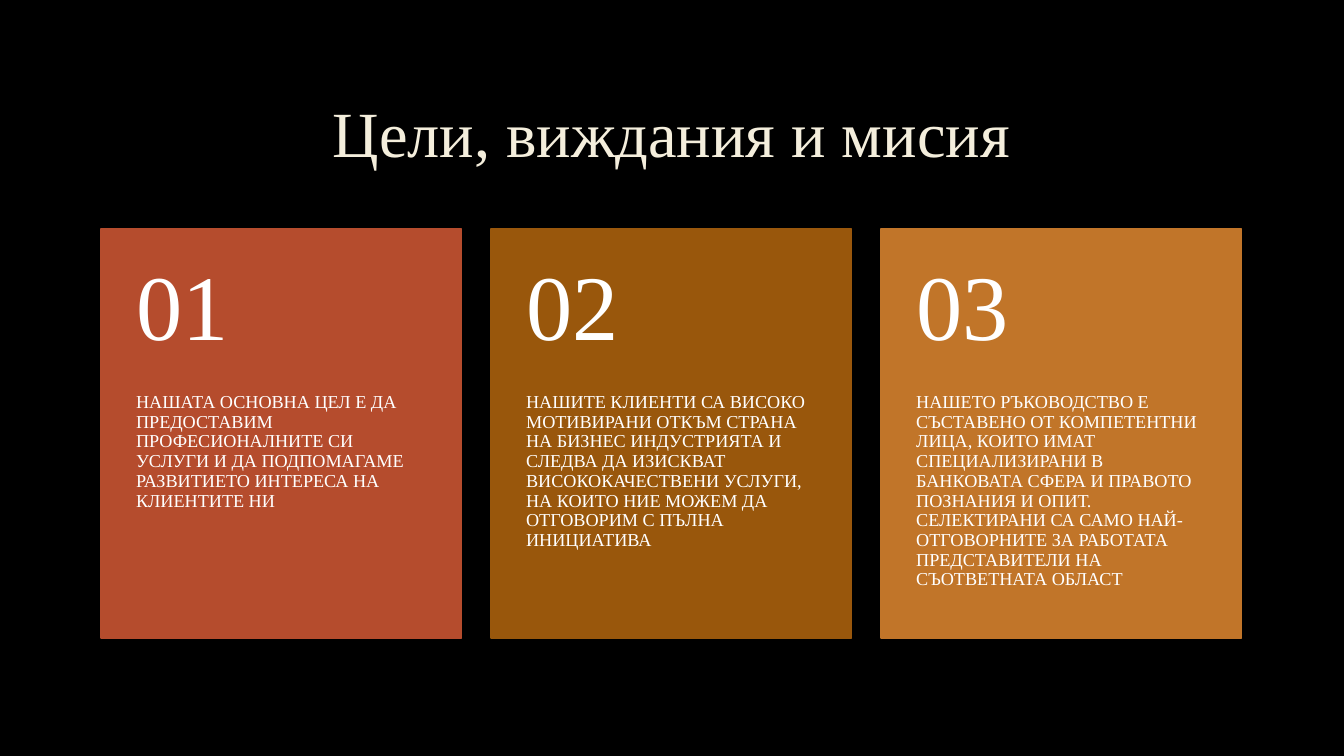
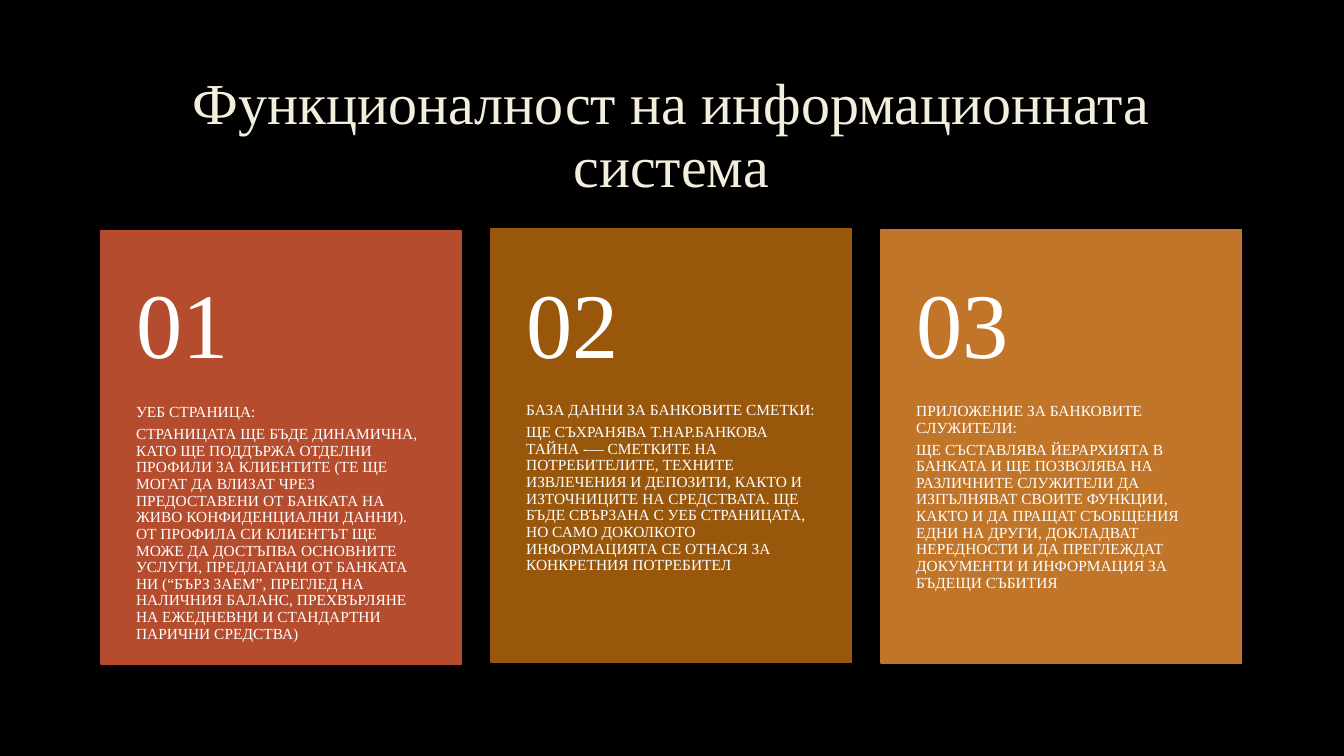
from dataclasses import dataclass

from pptx import Presentation
from pptx.dml.color import RGBColor
from pptx.enum.shapes import MSO_SHAPE
from pptx.enum.text import MSO_ANCHOR, MSO_AUTO_SIZE, PP_ALIGN
from pptx.util import Cm, Pt

FONT = "Times New Roman"
COLORS = {
    "background": "000000",
    "title": "F4EEDC",
    "text": "FFFFFF",
    "red": "B54C2D",
    "brown": "99570C",
    "orange": "C17529",
}
CARD_COLORS = ("red", "brown", "orange")
TITLE_ONLY_LAYOUT = 5

# Lengths in centimetres
MARGIN = 2.54
CARD_TOP = 5.77
CARD_WIDTH = 9.09
CARD_PITCH = 9.83
INSET_SIDE = 0.89
INSET_NUMBER = 0.46
INSET_BOTTOM = 0.91


@dataclass(frozen=True)
class Card:
    paragraphs: tuple[str, ...]
    drop: float = 0  # how far the card sits below CARD_TOP


@dataclass(frozen=True)
class CardStyle:
    height: float
    number_top: float
    number_height: float
    body_offset: float
    body_size: float


@dataclass(frozen=True)
class CardPage:
    title: str
    title_size: float
    style: CardStyle
    cards: tuple[Card, ...]


PAGES = (
    CardPage(
        "Цели, виждания и мисия",
        46,
        CardStyle(height=10.31, number_top=5.77, number_height=4.12,
                  body_offset=4.13, body_size=13),
        (
            Card((
                "НАШАТА ОСНОВНА ЦЕЛ Е ДА ПРЕДОСТАВИМ ПРОФЕСИОНАЛНИТЕ СИ УСЛУГИ "
                "И ДА ПОДПОМАГАМЕ РАЗВИТИЕТО ИНТЕРЕСА НА КЛИЕНТИТЕ НИ",
            )),
            Card((
                "НАШИТЕ КЛИЕНТИ СА ВИСОКО МОТИВИРАНИ ОТКЪМ СТРАНА НА БИЗНЕС "
                "ИНДУСТРИЯТА И СЛЕДВА ДА ИЗИСКВАТ ВИСОКОКАЧЕСТВЕНИ УСЛУГИ, "
                "НА КОИТО НИЕ МОЖЕМ ДА ОТГОВОРИМ С ПЪЛНА ИНИЦИАТИВА",
            )),
            Card((
                "НАШЕТО РЪКОВОДСТВО Е СЪСТАВЕНО ОТ КОМПЕТЕНТНИ ЛИЦА, КОИТО ИМАТ "
                "СПЕЦИАЛИЗИРАНИ В БАНКОВАТА СФЕРА И ПРАВОТО ПОЗНАНИЯ И ОПИТ. "
                "СЕЛЕКТИРАНИ СА САМО НАЙ-ОТГОВОРНИТЕ ЗА РАБОТАТА ПРЕДСТАВИТЕЛИ "
                "НА СЪОТВЕТНАТА ОБЛАСТ",
            )),
        ),
    ),
    CardPage(
        "Функционалност на информационната система",
        41.4,
        CardStyle(height=10.92, number_top=6.1, number_height=4.37,
                  body_offset=4.37, body_size=11),
        (
            Card((
                "УЕБ СТРАНИЦА:",
                "СТРАНИЦАТА ЩЕ БЪДЕ ДИНАМИЧНА, КАТО ЩЕ ПОДДЪРЖА ОТДЕЛНИ ПРОФИЛИ "
                "ЗА КЛИЕНТИТЕ (ТЕ ЩЕ МОГАТ ДА ВЛИЗАТ ЧРЕЗ ПРЕДОСТАВЕНИ ОТ БАНКАТА "
                "НА ЖИВО КОНФИДЕНЦИАЛНИ ДАННИ). ОТ ПРОФИЛА СИ КЛИЕНТЪТ ЩЕ МОЖЕ "
                "ДА ДОСТЪПВА ОСНОВНИТЕ УСЛУГИ, ПРЕДЛАГАНИ ОТ БАНКАТА НИ "
                "(“БЪРЗ ЗАЕМ”, ПРЕГЛЕД НА НАЛИЧНИЯ БАЛАНС, ПРЕХВЪРЛЯНЕ "
                "НА ЕЖЕДНЕВНИ И СТАНДАРТНИ ПАРИЧНИ СРЕДСТВА)",
            ), drop=0.05),
            Card((
                "БАЗА ДАННИ ЗА БАНКОВИТЕ СМЕТКИ:",
                "ЩЕ СЪХРАНЯВА Т.НАР.БАНКОВА ТАЙНА -— СМЕТКИТЕ НА ПОТРЕБИТЕЛИТЕ, "
                "ТЕХНИТЕ ИЗВЛЕЧЕНИЯ И ДЕПОЗИТИ, КАКТО И ИЗТОЧНИЦИТЕ НА СРЕДСТВАТА. "
                "ЩЕ БЪДЕ СВЪРЗАНА С УЕБ СТРАНИЦАТА, НО САМО ДОКОЛКОТО "
                "ИНФОРМАЦИЯТА СЕ ОТНАСЯ ЗА КОНКРЕТНИЯ ПОТРЕБИТЕЛ",
            )),
            Card((
                "ПРИЛОЖЕНИЕ ЗА БАНКОВИТЕ СЛУЖИТЕЛИ:",
                "ЩЕ СЪСТАВЛЯВА ЙЕРАРХИЯТА В БАНКАТА И ЩЕ ПОЗВОЛЯВА НА РАЗЛИЧНИТЕ "
                "СЛУЖИТЕЛИ ДА ИЗПЪЛНЯВАТ СВОИТЕ ФУНКЦИИ, КАКТО И ДА ПРАЩАТ "
                "СЪОБЩЕНИЯ ЕДНИ НА ДРУГИ, ДОКЛАДВАТ НЕРЕДНОСТИ И ДА ПРЕГЛЕЖДАТ "
                "ДОКУМЕНТИ И ИНФОРМАЦИЯ ЗА БЪДЕЩИ СЪБИТИЯ",
            ), drop=0.02),
        ),
    ),
)


def color(name: str) -> RGBColor:
    return RGBColor.from_string(COLORS[name])


def format_paragraph(para, size: float, color_name: str) -> None:
    para.font.name = FONT
    para.font.size = Pt(size)
    para.font.color.rgb = color(color_name)
    para.line_spacing = 0.9


def add_title(page, text: str, size: float) -> None:
    title = page.shapes.title
    title.left, title.top = Cm(MARGIN), Cm(1.7)
    title.width, title.height = Cm(28.75), Cm(3.51)
    frame = title.text_frame
    frame.text = text
    frame.auto_size = MSO_AUTO_SIZE.NONE
    frame.vertical_anchor = MSO_ANCHOR.MIDDLE
    para = frame.paragraphs[0]
    para.alignment = PP_ALIGN.CENTER
    format_paragraph(para, size, "title")


def add_card_text(group, paragraphs: tuple[str, ...], left: float, top: float,
                  height: float, size: float, inset_top: float,
                  inset_bottom: float, anchor: MSO_ANCHOR) -> None:
    box = group.shapes.add_textbox(Cm(left), Cm(top), Cm(CARD_WIDTH), Cm(height))
    frame = box.text_frame
    frame.word_wrap = True
    frame.vertical_anchor = anchor
    frame.margin_left = frame.margin_right = Cm(INSET_SIDE)
    frame.margin_top, frame.margin_bottom = Cm(inset_top), Cm(inset_bottom)
    frame.text = "\n".join(paragraphs)
    for para in frame.paragraphs:
        format_paragraph(para, size, "text")
        para.space_after = Pt(round(0.35 * size, 1))


def add_card(page, index: int, card: Card, style: CardStyle) -> None:
    left = MARGIN + index * CARD_PITCH
    top = CARD_TOP + card.drop
    group = page.shapes.add_group_shape()

    panel = group.shapes.add_shape(MSO_SHAPE.RECTANGLE, Cm(left), Cm(top),
                                   Cm(CARD_WIDTH), Cm(style.height))
    panel.shadow.inherit = False
    panel.fill.solid()
    panel.fill.fore_color.rgb = color(CARD_COLORS[index])
    panel.line.color.rgb = color(CARD_COLORS[index])
    panel.line.width = Pt(1.25)

    add_card_text(group, card.paragraphs, left, top + style.body_offset,
                  style.height - style.body_offset, style.body_size,
                  0, INSET_BOTTOM, MSO_ANCHOR.TOP)
    add_card_text(group, (f"{index + 1:02}",), left, style.number_top,
                  style.number_height, 66,
                  INSET_NUMBER, INSET_NUMBER, MSO_ANCHOR.MIDDLE)


def main() -> None:
    deck = Presentation()
    deck.slide_width, deck.slide_height = Cm(33.87), Cm(19.05)
    background = deck.slide_master.background.fill
    background.solid()
    background.fore_color.rgb = color("background")

    for content in PAGES:
        page = deck.slides.add_slide(deck.slide_layouts[TITLE_ONLY_LAYOUT])
        add_title(page, content.title, content.title_size)
        for index, card in enumerate(content.cards):
            add_card(page, index, card, content.style)
    deck.save("out.pptx")


if __name__ == "__main__":
    main()
